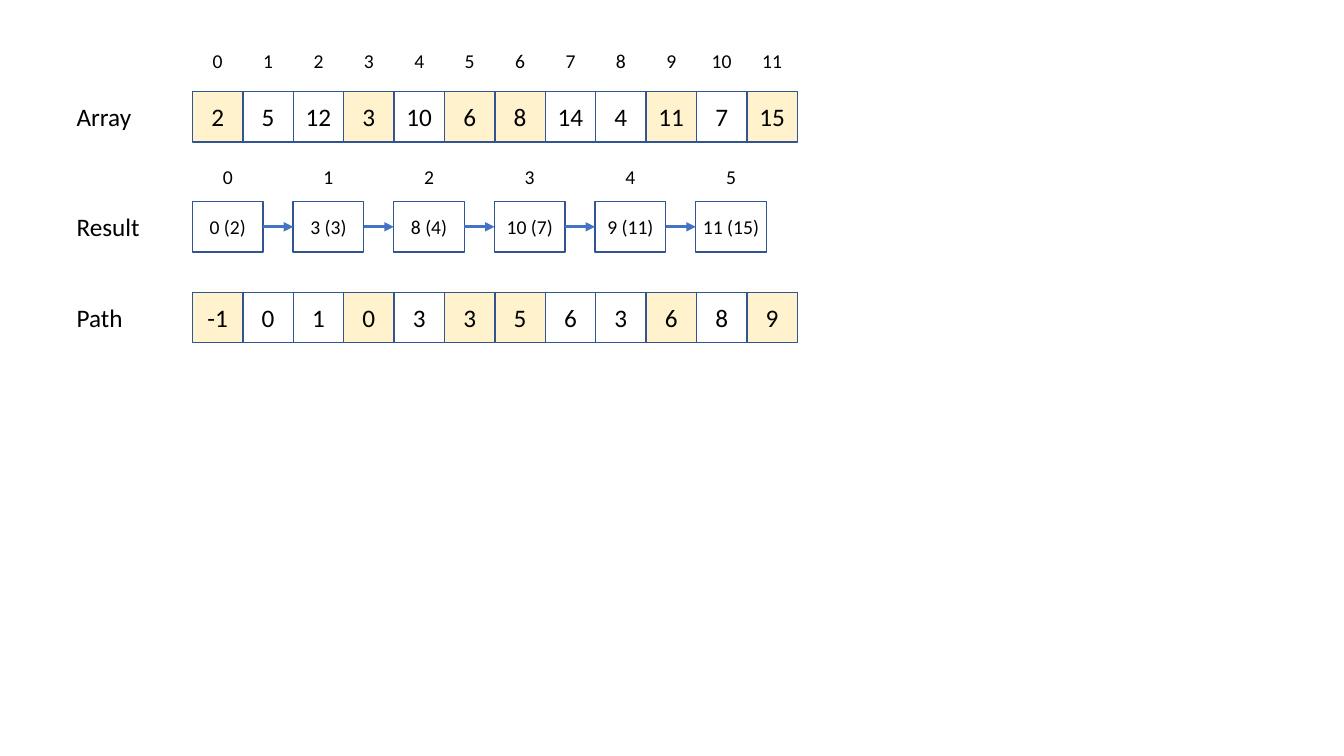
from typing import NamedTuple, Optional

from lxml import etree
from pptx import Presentation
from pptx.dml.color import RGBColor
from pptx.enum.shapes import MSO_CONNECTOR, MSO_SHAPE
from pptx.enum.text import MSO_ANCHOR, PP_ALIGN
from pptx.oxml.ns import qn
from pptx.util import Pt

RECTANGLE = MSO_SHAPE.RECTANGLE
STRAIGHT = MSO_CONNECTOR.STRAIGHT
MIDDLE = MSO_ANCHOR.MIDDLE
LEFT, CENTER = PP_ALIGN.LEFT, PP_ALIGN.CENTER

BLACK = RGBColor(0x00, 0x00, 0x00)
HIGHLIGHT = RGBColor(0xFF, 0xF2, 0xCC)
BORDER = RGBColor(0x32, 0x54, 0x91)
ARROW = RGBColor(0x44, 0x72, 0xC4)

FONT = "Calibri"
LABEL_LEFT, LABEL_WIDTH = 54.7, 70
ROW_LEFT = 137.5
CELL_HEIGHT = 36
INDEX_HEIGHT = 24
RIGHT_SITE, LEFT_SITE = 3, 1  # connection points of a rectangle


class Row(NamedTuple):
    label: str
    top: float
    values: list[str]
    cell_width: float = 36
    step: float = 36
    size: float = 18
    highlighted: tuple[int, ...] = ()
    index_top: Optional[float] = None
    linked: bool = False


SEQUENCE = (0, 3, 5, 6, 9, 11)
ROWS = [
    Row("Array", 65.5, "2 5 12 3 10 6 8 14 4 11 7 15".split(),
        highlighted=SEQUENCE, index_top=31.2),
    Row("Result", 144, ["0 (2)", "3 (3)", "8 (4)", "10 (7)", "9 (11)", "11 (15)"],
        cell_width=50.4, step=71.9, size=14, index_top=114, linked=True),
    Row("Path", 208.8, "-1 0 1 0 3 3 5 6 3 6 8 9".split(),
        highlighted=SEQUENCE),
]


def set_text(shape, text: str, *, size: float, align=CENTER) -> None:
    frame = shape.text_frame
    frame.word_wrap = True
    frame.vertical_anchor = MIDDLE
    frame.margin_left = frame.margin_right = Pt(0)
    frame.margin_top = frame.margin_bottom = Pt(0)
    paragraph = frame.paragraphs[0]
    paragraph.alignment = align
    run = paragraph.add_run()
    run.text = text
    run.font.name = FONT
    run.font.size = Pt(size)
    run.font.color.rgb = BLACK


def add_text(slide, text: str, left: float, top: float, width: float,
             height: float, *, size: float, align=CENTER) -> None:
    box = slide.shapes.add_textbox(Pt(left), Pt(top), Pt(width), Pt(height))
    set_text(box, text, size=size, align=align)


def add_cell(slide, row: Row, index: int):
    cell = slide.shapes.add_shape(
        RECTANGLE, Pt(ROW_LEFT + index * row.step), Pt(row.top),
        Pt(row.cell_width), Pt(CELL_HEIGHT))
    cell.shadow.inherit = False
    if index in row.highlighted:
        cell.fill.solid()
        cell.fill.fore_color.rgb = HIGHLIGHT
    else:
        cell.fill.background()
    cell.line.color.rgb = BORDER
    cell.line.width = Pt(1)
    set_text(cell, row.values[index], size=row.size)
    return cell


def add_arrow(slide, source, target) -> None:
    arrow = slide.shapes.add_connector(STRAIGHT, Pt(0), Pt(0), Pt(0), Pt(0))
    arrow.begin_connect(source, RIGHT_SITE)
    arrow.end_connect(target, LEFT_SITE)
    arrow.line.color.rgb = ARROW
    arrow.line.width = Pt(2.25)
    etree.SubElement(arrow.line._get_or_add_ln(), qn("a:tailEnd"), type="triangle")
    etree.SubElement(arrow._element.spPr, qn("a:effectLst"))


def add_row(slide, row: Row) -> None:
    add_text(slide, row.label, LABEL_LEFT, row.top, LABEL_WIDTH, CELL_HEIGHT,
             size=18, align=LEFT)
    cells = [add_cell(slide, row, index) for index in range(len(row.values))]
    # Positions above the cells
    if row.index_top is not None:
        for index in range(len(cells)):
            add_text(slide, str(index), ROW_LEFT + index * row.step, row.index_top,
                     row.cell_width, INDEX_HEIGHT, size=14)
    # Arrows from each cell to the next
    if row.linked:
        for source, target in zip(cells, cells[1:]):
            add_arrow(slide, source, target)


presentation = Presentation()
presentation.slide_width = Pt(960)
presentation.slide_height = Pt(540)
slide = presentation.slides.add_slide(presentation.slide_layouts[6])
for row in ROWS:
    add_row(slide, row)
presentation.save("out.pptx")
